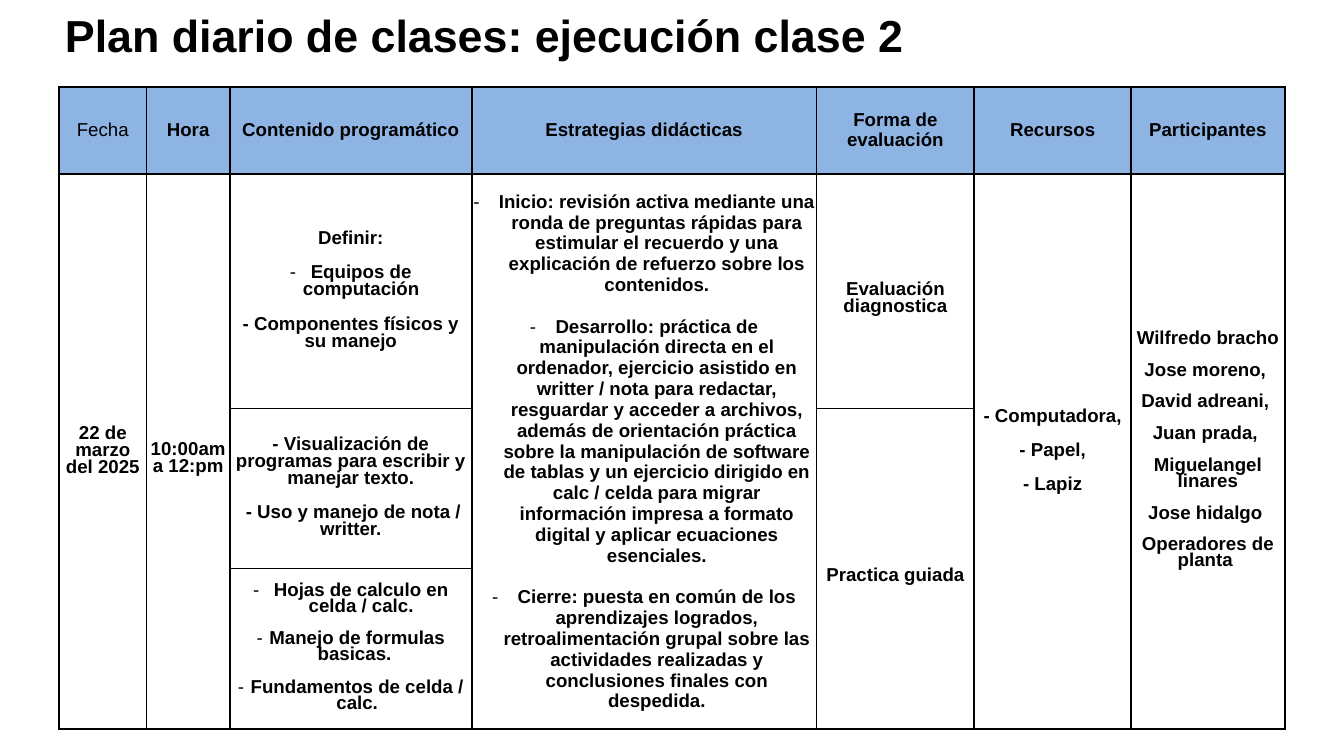
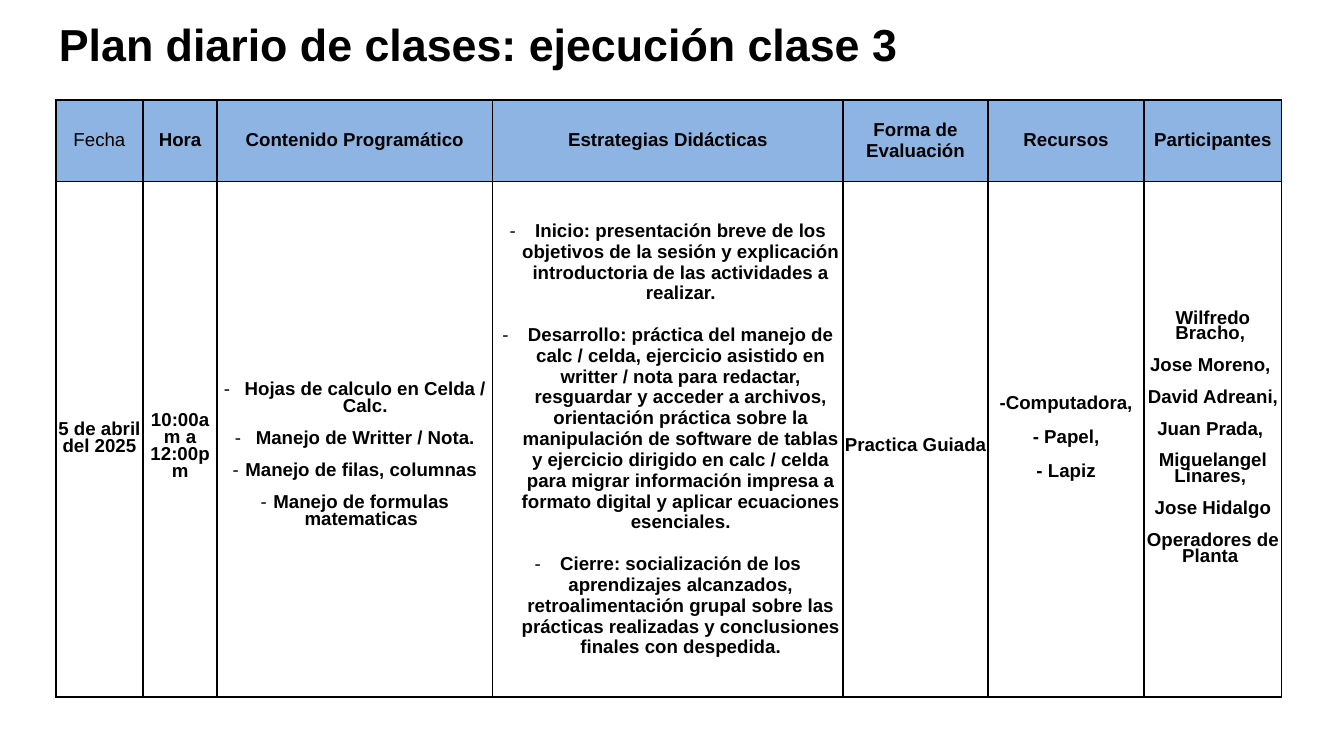
"""Builds two daily class plan slides, each with a title and a lesson table."""
from lxml.etree import SubElement
from pptx import Presentation
from pptx.dml.color import RGBColor
from pptx.enum.text import MSO_ANCHOR, PP_ALIGN
from pptx.oxml import parse_xml
from pptx.oxml.ns import qn
from pptx.util import Inches, Pt

BLACK = "000000"
HEADER_BLUE = "8EB4E3"
BORDER_WIDTH = Pt(2.25)
CELL_MARGIN = 0.02
HEADER_SPACING = 21.6
TEXT_SPACING = 18.3
LIST_SPACING = 17.3
NAME_SPACING = 17
STRATEGY_GAP = 22.3
WIDE, NARROW, STRATEGY = 0.31, 0.19, 0.38
NAMESPACE = "http://schemas.openxmlformats.org/drawingml/2006/main"


def color(value):
    return RGBColor.from_string(value)


def write(frame, lines, size, bold, spacing, gap):
    for number, line in enumerate(lines):
        text, indent = line if isinstance(line, tuple) else (line, 0)
        para = frame.paragraphs[0] if number == 0 else frame.add_paragraph()
        para.text = text
        layout = {"alignment": PP_ALIGN.CENTER}
        if spacing:
            layout["line_spacing"] = Pt(spacing)
        if number:
            layout["space_before"] = Pt(gap)
        for name, value in layout.items():
            setattr(para, name, value)
        if indent:
            properties = para._p.get_or_add_pPr()
            properties.set("marL", str(Inches(indent)))
            properties.set("indent", str(-Inches(indent)))
            SubElement(properties, qn("a:buFont"), typeface="Arial")
            SubElement(properties, qn("a:buChar"), char="-")
        for span in para.runs:
            for name, value in {"name": "Arial", "size": Pt(size), "bold": bold}.items():
                setattr(span.font, name, value)
            span.font.color.rgb = color(BLACK)


plans = [
    {
        "title": "Plan diario de clases: ejecución clase 2",
        "title_box": (-1.5, 0.54, 17.42, 0.48),
        "table_at": (0.88, 1.3),
        "columns": [1.3, 1.24, 3.6, 5.13, 2.35, 2.33, 2.29],
        "rows": [1.29, 3.49, 2.38, 2.39],
        "headers": ["Fecha", "Hora", "Contenido programático", "Estrategias didácticas",
                    "Forma de evaluación", "Recursos", "Participantes"],
        "merges": [(1, 0, 3), (1, 1, 3), (1, 3, 3), (1, 5, 3), (1, 6, 3), (2, 4, 3)],
        "cells": [
            (1, 0, TEXT_SPACING, 0, ["22 de marzo del 2025"]),
            (1, 1, TEXT_SPACING, 0.24, ["10:00am a 12:pm"]),
            (1, 2, TEXT_SPACING, 0, [
                "Definir:",
                ("Equipos de computación", WIDE),
                "- Componentes físicos y su manejo",
            ]),
            (1, 3, None, 0, [
                ("Inicio: revisión activa mediante una ronda de preguntas rápidas para estimular "
                 "el recuerdo y una explicación de refuerzo sobre los contenidos.", STRATEGY),
                ("Desarrollo: práctica de manipulación directa en el ordenador, ejercicio "
                 "asistido en writter / nota para redactar, resguardar y acceder a archivos, "
                 "además de orientación práctica sobre la manipulación de software de tablas y "
                 "un ejercicio dirigido en calc / celda para migrar información impresa a "
                 "formato digital y aplicar ecuaciones esenciales.", STRATEGY),
                ("Cierre: puesta en común de los aprendizajes logrados, retroalimentación grupal "
                 "sobre las actividades realizadas y conclusiones finales con despedida.",
                 STRATEGY),
            ]),
            (1, 4, TEXT_SPACING, 0.25, ["Evaluación diagnostica"]),
            (1, 5, TEXT_SPACING, 0, ["- Computadora,", "- Papel,", "- Lapiz"]),
            (1, 6, NAME_SPACING, 0, [
                "Wilfredo bracho", "Jose moreno, ", "David adreani, ", "Juan prada, ",
                "Miguelangel linares", "Jose hidalgo ", "Operadores de planta ",
            ]),
            (2, 2, TEXT_SPACING, 0, [
                "- Visualización de programas para escribir y manejar texto.",
                " - Uso y manejo de nota / writter.",
            ]),
            (2, 4, TEXT_SPACING, 0.23, ["Practica guiada"]),
            (3, 2, LIST_SPACING, 0, [
                ("Hojas de calculo en celda / calc.", WIDE),
                ("Manejo de formulas basicas. ", NARROW),
                ("Fundamentos de celda / calc.", NARROW),
            ]),
        ],
    },
    {
        "title": "Plan diario de clases: ejecución clase 3",
        "title_box": (-1.42, 0.68, 17.08, 0.48),
        "table_at": (0.83, 1.49),
        "columns": [1.3, 1.1, 4.1, 5.22, 2.15, 2.33, 2.04],
        "rows": [1.21, 7.67],
        "headers": ["Fecha", "Hora", "Contenido Programático", "Estrategias Didácticas",
                    "Forma de Evaluación", "Recursos", "Participantes"],
        "merges": [],
        "cells": [
            (1, 0, TEXT_SPACING, 0, ["5 de abril del 2025"]),
            (1, 1, TEXT_SPACING, 0.24, ["10:00am a\v12:00pm"]),
            (1, 2, LIST_SPACING, 0.51, [
                ("Hojas de calculo en Celda / Calc.", WIDE),
                ("Manejo de Writter / Nota.", WIDE),
                ("Manejo de filas, columnas", NARROW),
                ("Manejo de formulas matematicas", NARROW),
            ]),
            (1, 3, None, 0, [
                ("Inicio: presentación breve de los objetivos de la sesión y explicación "
                 "introductoria de las actividades a realizar.", STRATEGY),
                ("Desarrollo: práctica del manejo de calc / celda, ejercicio asistido en "
                 "writter / nota para redactar, resguardar y acceder a archivos, orientación "
                 "práctica sobre la manipulación de software de tablas y ejercicio dirigido en "
                 "calc / celda para migrar información impresa a formato digital y aplicar "
                 "ecuaciones esenciales.", STRATEGY),
                ("Cierre: socialización de los aprendizajes alcanzados, retroalimentación grupal "
                 "sobre las prácticas realizadas y conclusiones finales con despedida.",
                 STRATEGY),
            ]),
            (1, 4, TEXT_SPACING, 0.23, ["Practica Guiada"]),
            (1, 5, TEXT_SPACING, 0, ["-Computadora,", "- Papel,", "- Lapiz"]),
            (1, 6, NAME_SPACING, 0, [
                "Wilfredo Bracho, ", "Jose Moreno, ", "David Adreani, ", "Juan Prada, ",
                "Miguelangel Linares, ", "Jose Hidalgo", "Operadores de Planta ",
            ]),
        ],
    },
]

deck = Presentation()
deck.slide_width, deck.slide_height = Inches(20), Inches(11.25)

for plan in plans:
    page = deck.slides.add_slide(deck.slide_layouts[6])
    columns, rows = plan["columns"], plan["rows"]
    left, top = plan["table_at"]
    frame = page.shapes.add_table(len(rows), len(columns), Inches(left), Inches(top),
                                  Inches(sum(columns)), Inches(sum(rows)))
    table = frame.table
    table.horz_banding = False
    for column, width in zip(table.columns, columns):
        column.width = Inches(width)
    for row, height in zip(table.rows, rows):
        row.height = Inches(height)

    for index, cell in enumerate(table.iter_cells()):
        cell.vertical_anchor = MSO_ANCHOR.MIDDLE
        for side in ("left", "right", "top", "bottom"):
            setattr(cell, f"margin_{side}", Inches(CELL_MARGIN))
        if index < len(columns):
            cell.fill.solid()
            cell.fill.fore_color.rgb = color(HEADER_BLUE)
        else:
            cell.fill.background()
        for position, edge in enumerate(("lnL", "lnR", "lnT", "lnB")):
            border = parse_xml(
                f'<a:{edge} xmlns:a="{NAMESPACE}" w="{BORDER_WIDTH}">'
                f'<a:solidFill><a:srgbClr val="{BLACK}"/></a:solidFill></a:{edge}>')
            cell._tc.get_or_add_tcPr().insert(position, border)

    for first_row, column, last_row in plan["merges"]:
        table.cell(first_row, column).merge(table.cell(last_row, column))
    for column, header in enumerate(plan["headers"]):
        write(table.cell(0, column).text_frame, [header], 20, column > 0, HEADER_SPACING, 0)
    for row, column, spacing, top_offset, lines in plan["cells"]:
        cell = table.cell(row, column)
        cell.margin_top = Inches(CELL_MARGIN + top_offset)
        write(cell.text_frame, lines, 20, True, spacing, spacing or STRATEGY_GAP)

    box = page.shapes.add_textbox(*[Inches(length) for length in plan["title_box"]])
    box.text_frame.word_wrap = True
    for side in ("left", "right", "top", "bottom"):
        setattr(box.text_frame, f"margin_{side}", 0)
    write(box.text_frame, [plan["title"]], 48, True, 27, 0)

deck.save("out.pptx")
